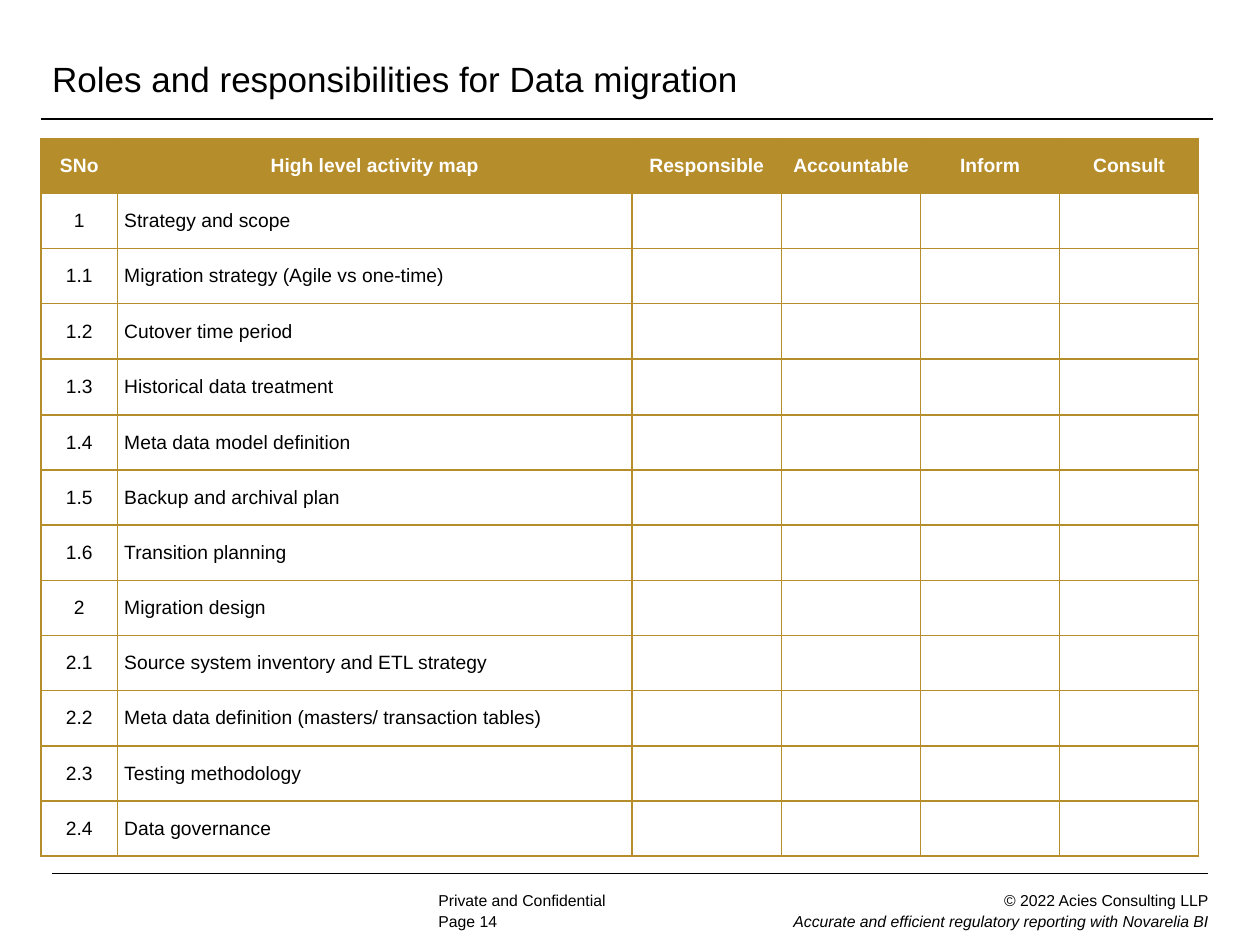
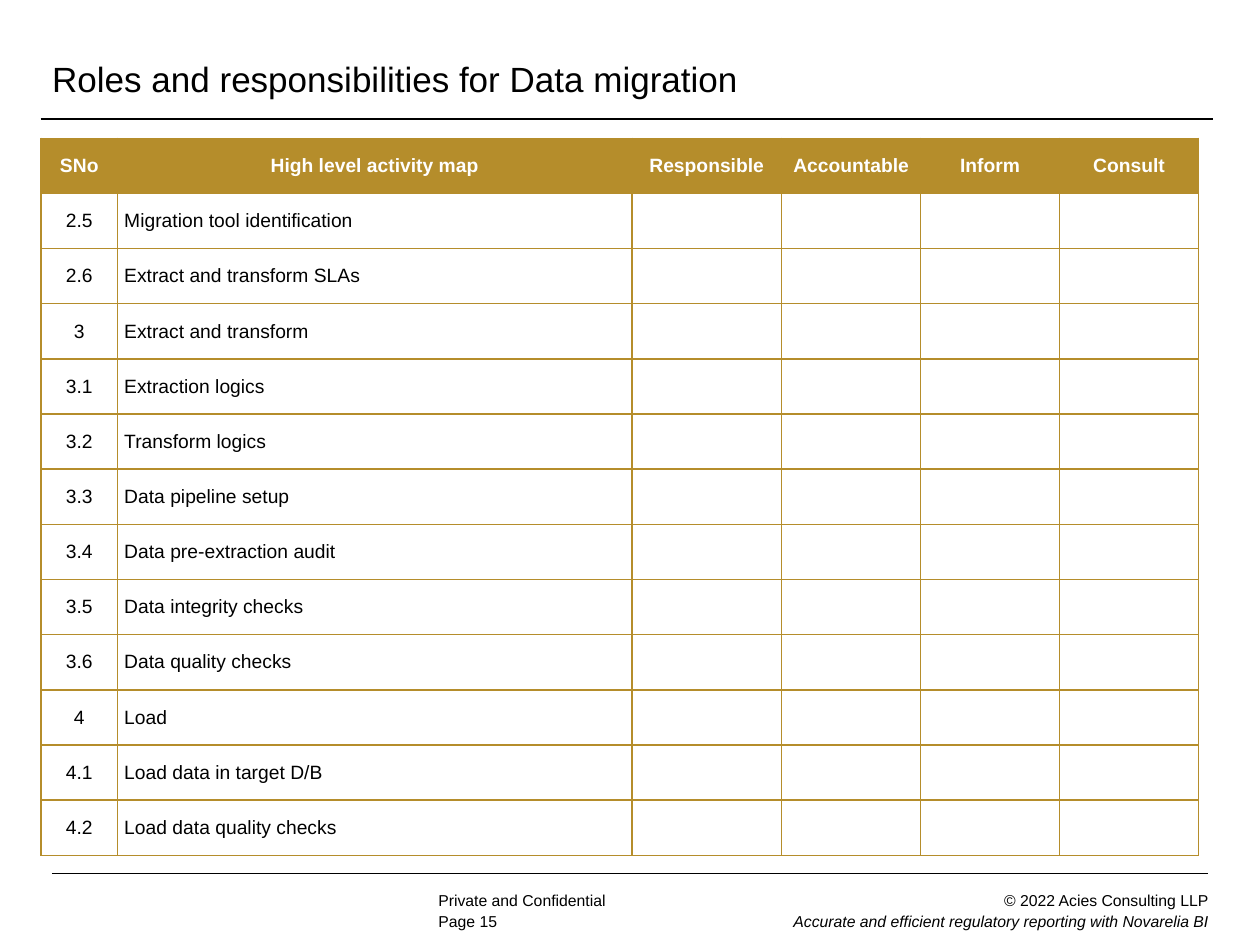
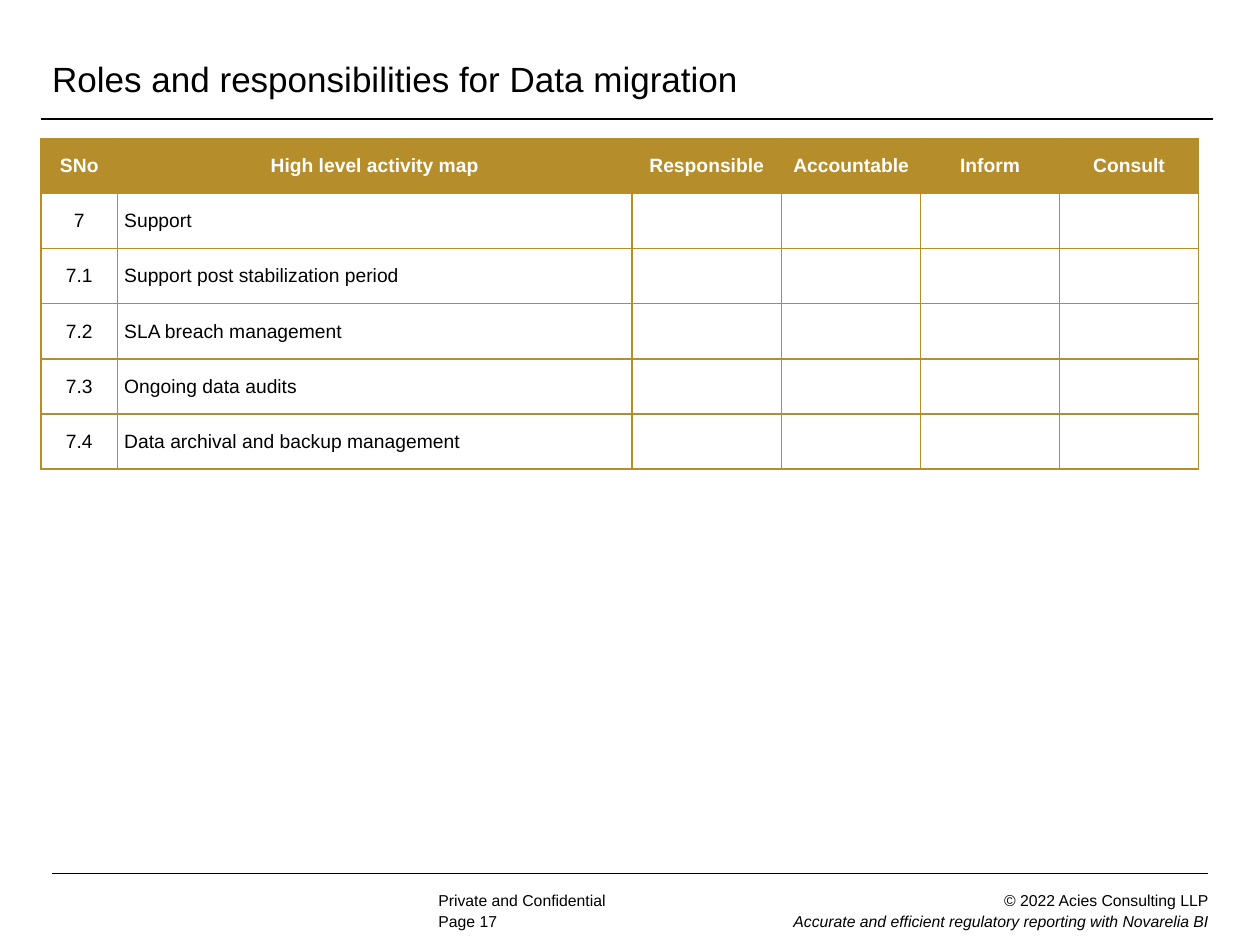
from lxml import etree
from pptx import Presentation
from pptx.dml.color import RGBColor
from pptx.enum.shapes import MSO_CONNECTOR
from pptx.enum.text import MSO_ANCHOR, PP_ALIGN
from pptx.oxml.ns import qn
from pptx.util import Pt

LEFT, CENTER, RIGHT = PP_ALIGN.LEFT, PP_ALIGN.CENTER, PP_ALIGN.RIGHT
MIDDLE, TOP = MSO_ANCHOR.MIDDLE, MSO_ANCHOR.TOP
STRAIGHT = MSO_CONNECTOR.STRAIGHT

COLORS = {"text": "000000", "gold": "B58D2B", "header_text": "FFFFFF"}
FONT = "Arial"
SIDES = ("lnL", "lnR", "lnT", "lnB")
TITLE = "Roles and responsibilities for Data migration"
TITLE_WIDTH, TITLE_HEIGHT = 669.75, 44
HEADERS = ["SNo", "High level activity map", "Responsible", "Accountable", "Inform", "Consult"]
COLUMN_WIDTHS = [43.9, 293.8, 85.7, 79.4, 79.4, 79.4]
ROW_HEIGHT = 31.53
TALL_ROW_HEIGHT = 32
TALL_ROW = "1.3"
TABLE_LEFT = 23.35

SLIDES = [
    (14, [
        ("1", "Strategy and scope"),
        ("1.1", "Migration strategy (Agile vs one-time)"),
        ("1.2", "Cutover time period"),
        ("1.3", "Historical data treatment"),
        ("1.4", "Meta data model definition"),
        ("1.5", "Backup and archival plan"),
        ("1.6", "Transition planning"),
        ("2", "Migration design"),
        ("2.1", "Source system inventory and ETL strategy"),
        ("2.2", "Meta data definition (masters/ transaction tables)"),
        ("2.3", "Testing methodology"),
        ("2.4", "Data governance"),
    ]),
    (15, [
        ("2.5", "Migration tool identification"),
        ("2.6", "Extract and transform SLAs"),
        ("3", "Extract and transform"),
        ("3.1", "Extraction logics"),
        ("3.2", "Transform logics"),
        ("3.3", "Data pipeline setup"),
        ("3.4", "Data pre-extraction audit"),
        ("3.5", "Data integrity checks"),
        ("3.6", "Data quality checks"),
        ("4", "Load"),
        ("4.1", "Load data in target D/B"),
        ("4.2", "Load data quality checks"),
    ]),
    (17, [
        ("7", "Support"),
        ("7.1", "Support post stabilization period"),
        ("7.2", "SLA breach management"),
        ("7.3", "Ongoing data audits"),
        ("7.4", "Data archival and backup management"),
    ]),
]


def format_paragraph(paragraph, size, color="text", alignment=LEFT, bold=False, italic=False):
    paragraph.alignment = alignment
    for run in paragraph.runs:
        run.font.name = FONT
        run.font.size = Pt(size)
        run.font.bold = bold
        run.font.italic = italic
        run.font.color.rgb = RGBColor.from_string(COLORS[color])


def format_cell(cell, text, side_margin, end_margin, border_color, border_sides, fill_color=None):
    cell.text = text
    cell.vertical_anchor = MIDDLE
    cell.margin_left = cell.margin_right = Pt(side_margin)
    cell.margin_top = cell.margin_bottom = Pt(end_margin)
    properties = cell._tc.get_or_add_tcPr()
    for side in SIDES:
        line = etree.SubElement(properties, qn(f"a:{side}"), w=str(Pt(1)))
        if side in border_sides:
            line_fill = etree.SubElement(line, qn("a:solidFill"))
            etree.SubElement(line_fill, qn("a:srgbClr"), val=COLORS[border_color])
        else:
            etree.SubElement(line, qn("a:noFill"))
    if fill_color:
        cell.fill.solid()
        cell.fill.fore_color.rgb = RGBColor.from_string(COLORS[fill_color])
    else:
        cell.fill.background()


presentation = Presentation()
presentation.slide_width = Pt(720)
presentation.slide_height = Pt(540)
blank_layout = presentation.slide_layouts[6]

for page, activities in SLIDES:
    slide = presentation.slides.add_slide(blank_layout)

    footer_rule = slide.shapes.add_connector(STRAIGHT, Pt(29.7), Pt(499.2), Pt(690.5), Pt(499.2))
    footer_rule.line.color.rgb = RGBColor.from_string(COLORS["text"])
    footer_rule.line.width = Pt(0.75)
    etree.SubElement(footer_rule._element.spPr, qn("a:effectLst"))

    footers = [
        (250.5, 521.3, 40, 8, LEFT, [f"Page {page}"]),
        (356.4, 509, 334.1, 23, RIGHT, [
            "© 2022 Acies Consulting LLP",
            "Accurate and efficient regulatory reporting with Novarelia BI",
        ]),
        (250.5, 509, 127.5, 11, LEFT, ["Private and Confidential"]),
    ]
    for left, top, width, height, alignment, lines in footers:
        footer = slide.shapes.add_textbox(Pt(left), Pt(top), Pt(width), Pt(height))
        frame = footer.text_frame
        frame.text = "\n".join(lines)
        frame.word_wrap = True
        frame.vertical_anchor = TOP
        frame.margin_left = frame.margin_right = frame.margin_top = frame.margin_bottom = 0
        for index, paragraph in enumerate(frame.paragraphs):
            paragraph.space_after = Pt(1)
            format_paragraph(paragraph, 9, alignment=alignment, italic=index == 1)

    title_table = slide.shapes.add_table(
        1, 1, Pt(23.25), Pt(24), Pt(TITLE_WIDTH), Pt(TITLE_HEIGHT),
    ).table
    title_table.first_row = title_table.horz_banding = False
    title_cell = title_table.cell(0, 0)
    format_cell(title_cell, TITLE, 6.6, 3, "text", ("lnB",))
    format_paragraph(title_cell.text_frame.paragraphs[0], 20)

    rows = [HEADERS] + [[number, activity, "", "", "", ""] for number, activity in activities]
    row_heights = [TALL_ROW_HEIGHT if values[0] == TALL_ROW else ROW_HEIGHT for values in rows]
    activity_table = slide.shapes.add_table(
        len(rows), len(HEADERS), Pt(TABLE_LEFT), Pt(79),
        Pt(sum(COLUMN_WIDTHS)), Pt(sum(row_heights)),
    ).table
    activity_table.first_row = activity_table.horz_banding = False
    for column, width in zip(activity_table.columns, COLUMN_WIDTHS):
        column.width = Pt(width)
    for row_index, values in enumerate(rows):
        activity_table.rows[row_index].height = Pt(row_heights[row_index])
        is_header = row_index == 0
        for column_index, value in enumerate(values):
            cell = activity_table.cell(row_index, column_index)
            format_cell(cell, value, 3.75, 0, "gold", SIDES, "gold" if is_header else None)
            format_paragraph(
                cell.text_frame.paragraphs[0], 11,
                color="header_text" if is_header else "text",
                alignment=CENTER if is_header or column_index == 0 else LEFT,
                bold=is_header,
            )

presentation.save("out.pptx")
